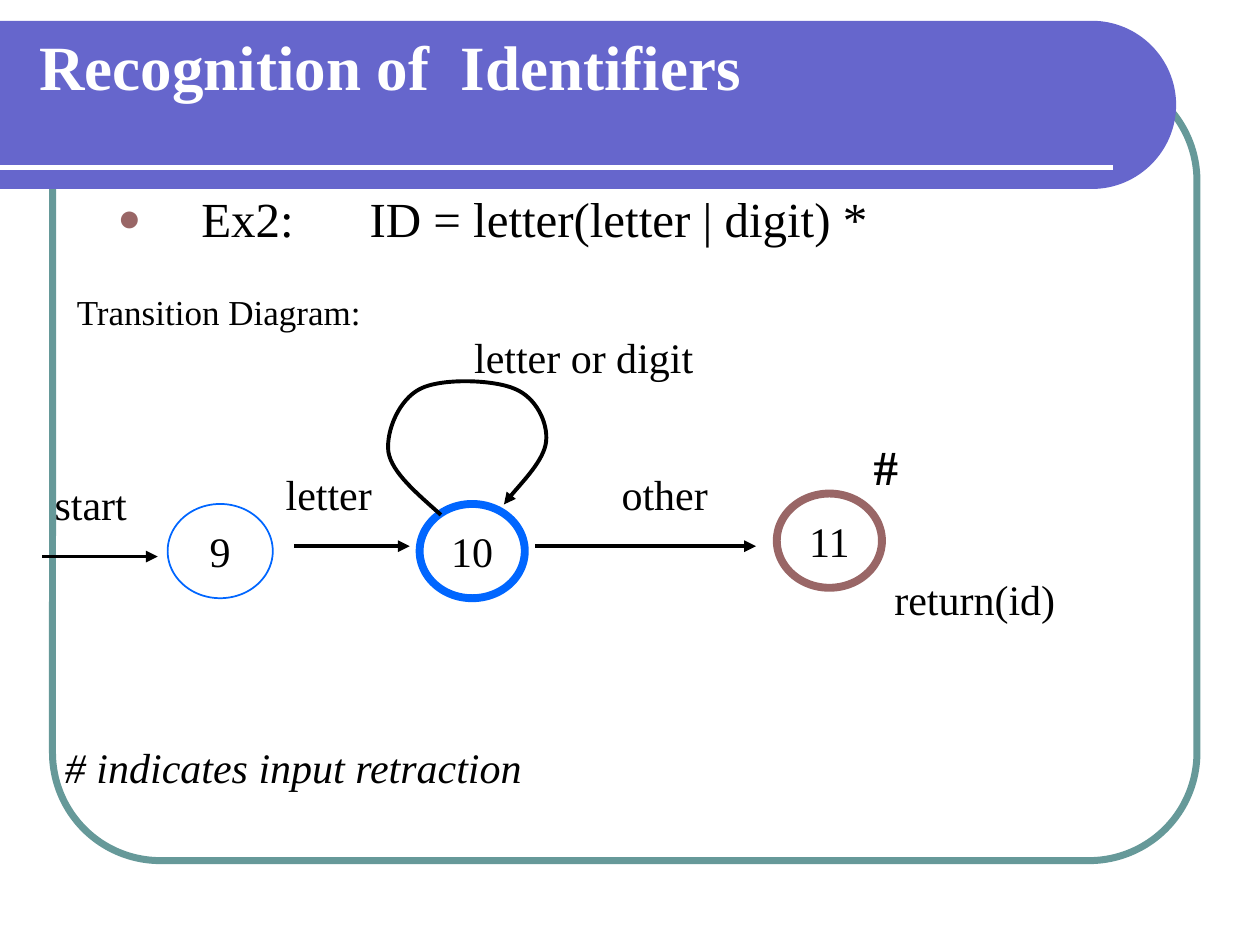
from dataclasses import dataclass

import pptx
import pptx.dml.color
import pptx.enum.shapes
import pptx.enum.text
import pptx.oxml
import pptx.oxml.ns
import pptx.util

Cm = pptx.util.Cm
SHAPES = pptx.enum.shapes.MSO_SHAPE
ANCHOR = pptx.enum.text.MSO_ANCHOR
ALIGN = pptx.enum.text.PP_ALIGN


@dataclass(frozen=True)
class Theme:
    font: str = "Times New Roman"
    band: str = "6666CC"
    frame: str = "669999"
    white: str = "FFFFFF"
    ink: str = "000000"
    state: str = "0066FF"
    accent: str = "996666"
    title: int = 36
    large: int = 28
    body: int = 24
    small: int = 20


THEME = Theme()


def rgb(value):
    return pptx.dml.color.RGBColor.from_string(value)


def add_xml(parent, tag, **attrs):
    child = pptx.oxml.parse_xml(f"<a:{tag} {pptx.oxml.ns.nsdecls('a')}/>")
    for name, value in attrs.items():
        child.set(name, value)
    parent.append(child)
    return child


def style_line(sp, color, width, arrow=False):
    sp.line.color.rgb = rgb(color)
    sp.line.width = pptx.util.Pt(width)
    if arrow:
        add_xml(sp.line._get_or_add_ln(), "tailEnd", type="triangle")


def add_text(p, text, size=THEME.body, color=THEME.ink, bold=False, italic=False):
    r = p.add_run()
    r.text = text
    r.font.name = THEME.font
    r.font.size = pptx.util.Pt(size)
    r.font.color.rgb = rgb(color)
    r.font.bold = bold
    r.font.italic = italic


def add_box(s, x, y, w, h=1.27):
    tf = s.shapes.add_textbox(Cm(x), Cm(y), Cm(w), Cm(h)).text_frame
    tf.word_wrap = True
    return tf


def add_line(s, x1, x2, y, color, width, arrow=False):
    sp = s.shapes.add_connector(pptx.enum.shapes.MSO_CONNECTOR.STRAIGHT,
                                Cm(x1), Cm(y), Cm(x2), Cm(y))
    style_line(sp, color, width, arrow)
    add_xml(sp._element.spPr, "effectLst")


def add_curved_outline(s, points, first, last, close):
    """Draw an outline; points[first:last] hold cubic curves, three points each."""
    points = [(Cm(x), Cm(y)) for x, y in points]
    fb = s.shapes.build_freeform(*points[0])
    fb.add_line_segments(points[1:], close=False)
    sp = fb.convert_to_shape()
    sp.shadow.inherit = False
    steps = list(sp._element.iter(pptx.oxml.ns.qn("a:pt")))
    path = steps[0].getparent().getparent()
    for i in range(first, last, 3):
        curve = add_xml(path, "cubicBezTo")
        path.replace(steps[i].getparent(), curve)
        for pt in steps[i:i + 3]:
            line = pt.getparent()
            curve.append(pt)
            if line.getparent() is path:
                path.remove(line)
    if close:
        add_xml(path, "close")
    return sp


def add_frame(s, x, y, w, h):
    sp = s.shapes.add_shape(SHAPES.ROUNDED_RECTANGLE, Cm(x), Cm(y), Cm(w), Cm(h))
    sp.adjustments[0] = 0.137
    sp.fill.background()
    sp.shadow.inherit = False
    style_line(sp, THEME.frame, 4)


def add_header(s, x, y, w, h):
    # Band with a half-round right end
    radius = h / 2
    pull = radius * 0.45
    right, bottom, bend = x + w, y + h, x + w - radius
    points = [(x, y), (bend, y),
              (right - pull, y), (right, y + pull), (right, y + radius),
              (right, bottom - pull), (right - pull, bottom), (bend, bottom),
              (x, bottom)]
    band = add_curved_outline(s, points, 2, 8, close=True)
    band.fill.solid()
    band.fill.fore_color.rgb = rgb(THEME.band)
    band.line.fill.background()
    add_line(s, x, right - 1.27, y + 2.96, THEME.white, 3)

    # Title, brought in front of the band
    title = s.shapes.title
    title.left, title.top = Cm(x + 0.54), Cm(y + 0.23)
    title.width, title.height = Cm(22.28), Cm(1.35)
    s.shapes._spTree.append(title._element)
    tf = title.text_frame
    tf.auto_size = pptx.enum.text.MSO_AUTO_SIZE.NONE
    tf.vertical_anchor = ANCHOR.MIDDLE
    p = tf.paragraphs[0]
    p.alignment = ALIGN.LEFT
    add_text(p, "Recognition of  Identifiers", THEME.title, THEME.white, bold=True)


def add_formula(s, x, y, w, h):
    tf = add_box(s, x, y, w, h)
    tf.margin_top = Cm(1.06)
    p = tf.paragraphs[0]
    pPr = p._p.get_or_add_pPr()
    indent = Cm(1.69)
    pPr.set("marL", str(indent))
    pPr.set("indent", str(-indent))
    add_xml(add_xml(pPr, "buClr"), "srgbClr", val=THEME.accent)
    add_xml(pPr, "buSzPct", val="80000")
    add_xml(pPr, "buFont", typeface=THEME.font)
    add_xml(pPr, "buChar", char="●")
    add_xml(add_xml(pPr, "tabLst"), "tab", pos=str(Cm(5.08)), algn="l")
    add_text(p, "Ex2:\tID = letter(letter | digit) *", THEME.large)


def add_state(s, x, y, name, color, width):
    sp = s.shapes.add_shape(SHAPES.OVAL, Cm(x), Cm(y), Cm(2.12), Cm(1.9))
    sp.fill.background()
    sp.shadow.inherit = False
    style_line(sp, color, width)
    tf = sp.text_frame
    tf.word_wrap = False
    tf.vertical_anchor = ANCHOR.MIDDLE
    tf.paragraphs[0].alignment = ALIGN.CENTER
    add_text(tf.paragraphs[0], name)


def add_diagram(s, x, y):
    # States
    for dx, dy, name, color, width in [(2.53, 4.44, "9", THEME.state, 1),
                                       (7.61, 4.44, "10", THEME.state, 4.5),
                                       (14.81, 4.23, "11", THEME.accent, 4.5)]:
        add_state(s, x + dx, y + dy, name, color, width)

    # Transitions
    for start, end, dy in [(0, 2.33, 5.5), (5.08, 7.41, 5.29), (9.94, 14.39, 5.29)]:
        add_line(s, x + start, x + end, y + dy, THEME.ink, 2.25, arrow=True)

    # Self-loop of state 10, five curves end to end
    knots = [(8.04, 4.66),
             (7.56, 4.23), (7.05, 3.81), (6.98, 3.39),
             (6.93, 2.96), (7.2, 2.33), (7.62, 2.12),
             (8.04, 1.9), (9.1, 1.93), (9.53, 2.12),
             (9.95, 2.29), (10.2, 2.79), (10.16, 3.18),
             (10.12, 3.56), (9.46, 4.23), (9.31, 4.45)]
    loop = add_curved_outline(s, [(x + dx, y + dy) for dx, dy in knots],
                              1, len(knots), close=False)
    loop.fill.background()
    style_line(loop, THEME.ink, 2.25, arrow=True)

    # Labels
    for dx, dy, w, text, size, bold in [
            (0, 3.81, 2.2, "start", THEME.body, False),
            (4.66, 3.6, 2.54, "letter", THEME.body, False),
            (16.93, 5.72, 4.02, "return(id)", THEME.body, False),
            (11.43, 3.6, 2.54, "other", THEME.body, False),
            (16.51, 2.96, 1.1, "#", THEME.large, True),
            (8.46, 0.83, 5.08, "letter or digit", THEME.body, False),
            (0.45, 0.02, 8.81, "Transition Diagram:", THEME.small, False)]:
        add_text(add_box(s, x + dx, y + dy, w).paragraphs[0], text, size, bold=bold)


def add_note(s, x, y, w):
    add_text(add_box(s, x, y, w).paragraphs[0], "# indicates input retraction", italic=True)


def main():
    prs = pptx.Presentation()
    prs.slide_width, prs.slide_height = Cm(25.4), Cm(19.05)
    s = prs.slides.add_slide(prs.slide_layouts[5])
    add_frame(s, 1.06, 1.47, 23.07, 15.88)
    add_header(s, 0, 0.42, 23.71, 3.39)
    add_formula(s, 2.12, 2.75, 21.59, 15.45)
    add_diagram(s, 0.85, 5.72)
    add_note(s, 1.06, 14.82, 13.97)
    prs.save("out.pptx")


if __name__ == "__main__":
    main()
